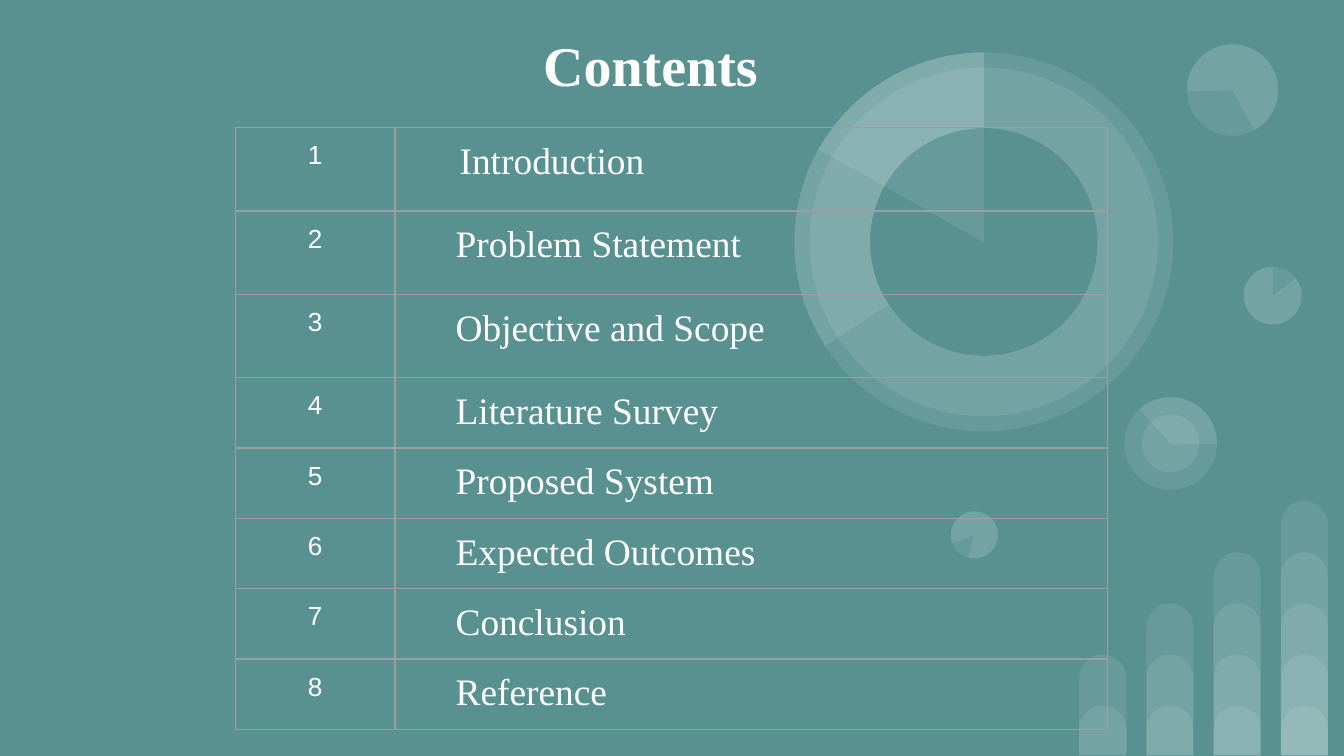
from lxml.etree import SubElement
from pptx import Presentation
from pptx.dml.color import RGBColor
from pptx.enum.shapes import MSO_SHAPE as Preset
from pptx.enum.text import MSO_ANCHOR as Anchor, PP_ALIGN as Align
from pptx.oxml import parse_xml
from pptx.oxml.ns import nsdecls, qn
from pptx.util import Inches, Pt

TEAL = RGBColor(0x59, 0x91, 0x91)
WHITE = RGBColor(0xFF, 0xFF, 0xFF)
GREY = RGBColor(0x9E, 0x9E, 0x9E)
SERIF, SANS = "Times New Roman", "Arial"
TOPICS = ["Introduction", "Problem Statement", "Objective and Scope", "Literature Survey",
          "Proposed System", "Expected Outcomes", "Conclusion", "Reference"]


def add_plain(slide, preset, box, color=WHITE, alpha=9):
    """Add a lineless preset shape with the given opacity in percent."""
    shape = slide.shapes.add_shape(preset, *map(Inches, box))
    shape.shadow.inherit = False
    shape.line.fill.background()
    shape.fill.solid()
    shape.fill.fore_color.rgb = color
    if alpha < 100:
        color_node = shape.fill._xPr.find(qn("a:solidFill"))[0]
        SubElement(color_node, qn("a:alpha")).set("val", str(alpha * 1000))
    return shape


def add_disc(slide, center_x, center_y, size, color=WHITE, alpha=9):
    """Add a circle around a centre."""
    box = (center_x - size / 2, center_y - size / 2, size, size)
    add_plain(slide, Preset.OVAL, box, color, alpha)


def add_sector(slide, center_x, center_y, size, start, end, rotation=0):
    """Add a pie sector between two angles in degrees."""
    box = (center_x - size / 2, center_y - size / 2, size, size)
    sector = add_plain(slide, Preset.PIE, box)
    sector.adjustments[0] = start * 0.6
    sector.adjustments[1] = end * 0.6
    sector.rotation = rotation


def add_bars(slide, left, bottom, columns=4, width=0.35, pitch=0.5, base=0.37, step=0.38):
    """Add columns of overlapping rounded bars that rise to the right."""
    for column in range(columns):
        for level in range(column + 2):
            height = base + level * step
            box = (left + column * pitch, bottom - height, width, height)
            bar = add_plain(slide, Preset.ROUND_2_SAME_RECTANGLE, box)
            bar.adjustments[0] = 0.5
            bar.adjustments[1] = 0


def add_small_pies(slide):
    """Add the small discs, each with one highlighted sector."""
    for x, y, size, start, end, rotation in [
        (9.47, 2.2, 0.43, 322.95, 270, 0),
        (7.25, 3.98, 0.35, 322.95, 270, 196.2),
        (8.71, 3.3, 0.69, 137.41, 270.77, 90),
        (9.17, 0.67, 0.68, 322.95, 205.23, 215.9),
    ]:
        add_disc(slide, x, y, size)
        add_sector(slide, x, y, size, start, end, rotation)
    add_disc(slide, 8.71, 3.3, 0.43)


def add_ring(slide, x, y, size):
    """Add the large ring chart around a centre."""
    add_disc(slide, x, y, size)
    add_disc(slide, x, y, size * 0.92)
    add_sector(slide, x, y, size, 146.69, 270)
    add_disc(slide, x, y, size * 0.6, TEAL, 100)
    add_sector(slide, x, y, size, 209.24, 270)


def write(paragraph, text, size, font, bold=False):
    """Add one white run to a paragraph."""
    run = paragraph.add_run()
    run.text = text
    run.font.size = Pt(size)
    run.font.name = font
    run.font.bold = bold
    run.font.color.rgb = WHITE


def add_title(slide, box, text):
    """Add the centred heading."""
    frame = slide.shapes.add_textbox(*map(Inches, box)).text_frame
    frame.word_wrap = True
    frame.vertical_anchor = Anchor.MIDDLE
    frame.margin_left = frame.margin_right = Inches(0.1)
    frame.margin_top = frame.margin_bottom = Inches(0.1)
    frame.paragraphs[0].alignment = Align.CENTER
    write(frame.paragraphs[0], text, 30, SERIF, True)


def style_cell(cell, left_margin, bottom_margin):
    """Clear the fill of a cell, set its margins and draw its borders."""
    cell.fill.background()
    cell.margin_left, cell.margin_bottom = Inches(left_margin), Inches(bottom_margin)
    cell.margin_right = cell.margin_top = Inches(0.1)
    properties = cell._tc.get_or_add_tcPr()
    for index, side in enumerate(("lnL", "lnR", "lnT", "lnB")):
        properties.insert(index, parse_xml(
            f'<a:{side} {nsdecls("a")} w="{Pt(0.75)}"><a:solidFill>'
            f'<a:srgbClr val="{GREY}"/></a:solidFill></a:{side}>'))


def add_contents(slide, left, top, widths, heights):
    """Add the table of numbered topics."""
    box = map(Inches, (left, top, sum(widths), sum(heights)))
    table = slide.shapes.add_table(len(heights), len(widths), *box).table
    table.first_row = table.horz_banding = False
    for column, width in zip(table.columns, widths):
        column.width = Inches(width)
    for index, (topic, height) in enumerate(zip(TOPICS, heights)):
        table.rows[index].height = Inches(height)
        number, name = table.cell(index, 0), table.cell(index, 1)
        style_cell(number, 0.1, 0.1)
        style_cell(name, 0.45 if index else 0.48, 0.18 if index < 3 else 0.08)
        number.text_frame.paragraphs[0].alignment = Align.CENTER
        write(number.text_frame.paragraphs[0], str(index + 1), 14, SANS)
        write(name.text_frame.paragraphs[0], topic, 20, SERIF)


def build():
    """Build and save the contents slide."""
    presentation = Presentation()
    presentation.slide_width, presentation.slide_height = Inches(10), Inches(10 * 9 / 16)
    slide = presentation.slides.add_slide(presentation.slide_layouts[6])
    slide.background.fill.solid()
    slide.background.fill.fore_color.rgb = TEAL
    add_bars(slide, 8.03, 5.62)
    add_small_pies(slide)
    add_ring(slide, 7.32, 1.8, 2.82)
    add_title(slide, (3.02, 0.16, 3.64, 0.64), "Contents")
    tall, table_height = 0.62, 4.48
    short = (table_height - 3 * tall) / 5
    add_contents(slide, 1.75, 0.95, [1.19, 5.3], [tall] * 3 + [short] * 5)
    presentation.save("out.pptx")


build()
